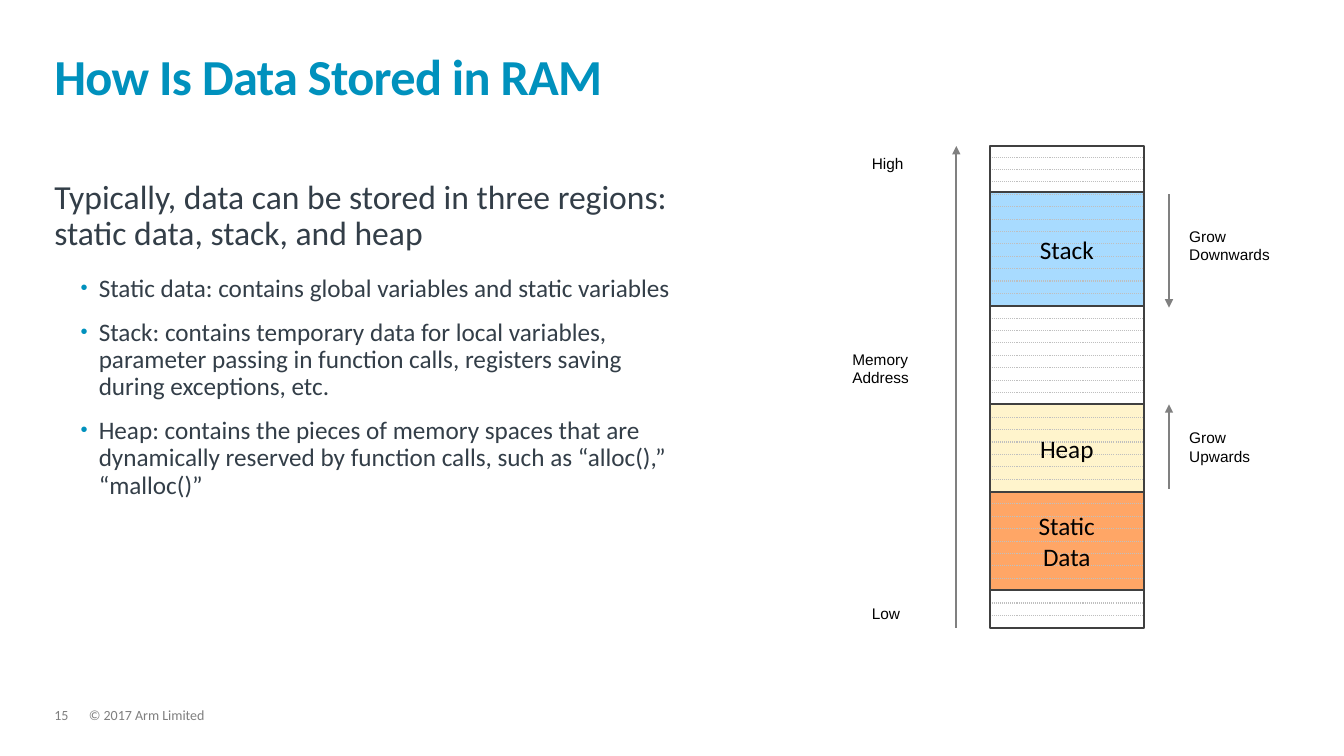
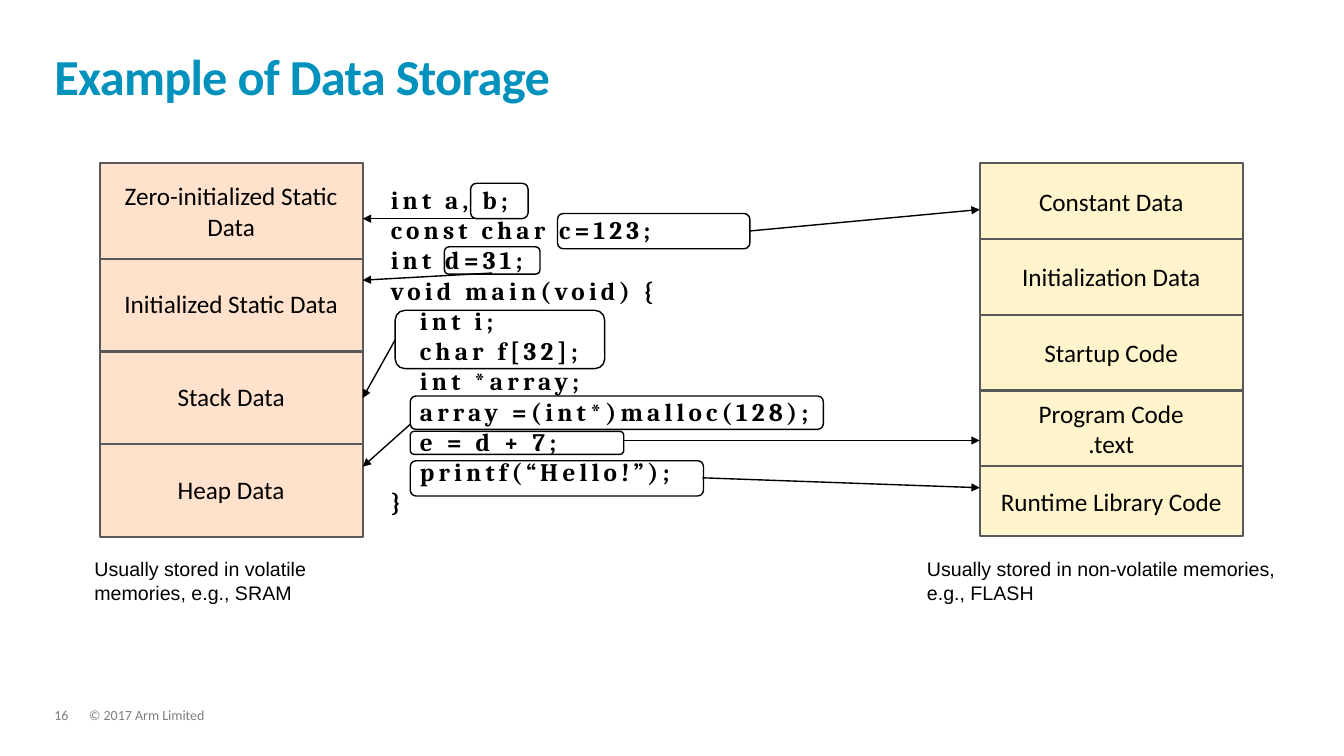
"""Build two slides on how a program's data is stored in memory."""
import dataclasses
import typing

import lxml.etree
import pptx
import pptx.dml.color
import pptx.enum.dml
import pptx.enum.shapes
import pptx.enum.text
import pptx.oxml.ns
import pptx.shapes.autoshape
import pptx.slide
import pptx.text.text
import pptx.util

Cm = pptx.util.Cm
Pt = pptx.util.Pt
Align = pptx.enum.text.PP_ALIGN
Anchor = pptx.enum.text.MSO_ANCHOR
Form = pptx.enum.shapes.MSO_SHAPE
qn = pptx.oxml.ns.qn
Slide = pptx.slide.Slide

TEAL, INK, BLACK, GREY, WHITE = "0091BD", "333E48", "000000", "7F7F7F", "FFFFFF"
PEACH, CREAM, BLUE, ORANGE = "FFE1CC", "FFF4CC", "A8DBFF", "FFA666"
DARK, EDGE, SHAFT, DOT = "404040", "595959", "808080", "BFBFBF"


class Area(typing.NamedTuple):
    x: float
    y: float
    w: float
    h: float


class Path(typing.NamedTuple):
    x1: float
    y1: float
    x2: float
    y2: float


@dataclasses.dataclass(frozen=True)
class Style:
    size: float
    font: str = "Calibri"
    color: str = BLACK
    bold: bool = False
    track: int = 0


@dataclasses.dataclass(frozen=True)
class Para:
    lead: float = 1.0
    after: float = 0
    align: Align = Align.LEFT
    dot: bool = False


@dataclasses.dataclass(frozen=True)
class Band:
    top: float
    end: float
    lines: tuple[str, ...] = ()
    fill: str | None = None


@dataclasses.dataclass(frozen=True)
class Label:
    area: Area
    lines: tuple[str, ...]


@dataclasses.dataclass(frozen=True)
class Callout:
    frame: Area
    arrow: Path | None


TITLE = Style(36, color=TEAL, bold=True, track=-50)
FOOT = Style(10, color=GREY)
LEAD = Style(24, color=INK)
POINT = Style(18, color=INK)
BLOCK = Style(18)
SMALL = Style(11, "Arial")
NOTE = Style(14, "Arial")
CODE = Style(18, "Cambria", bold=True, track=300)
PLAIN = Para()
MID = Para(align=Align.CENTER)

STACK_X, STACK_W = 24.94, 3.89
STACK_END = 15.82
BANDS = (
    Band(3.68, 4.85, fill=WHITE),
    Band(4.85, 7.72, ("Stack",), BLUE),
    Band(7.72, 10.19),
    Band(10.19, 12.4, ("Heap",), CREAM),
    Band(12.4, 14.86, ("Static", "Data"), ORANGE),
    Band(14.86, STACK_END),
)
DOT_TOP, DOT_COUNT = 3.96, 39
LABELS = (
    Label(Area(21.72, 3.76, 1.32, 0.74), ("High",)),
    Label(Area(21.23, 8.69, 1.96, 1.19), ("Memory", "Address")),
    Label(Area(21.72, 15.09, 1.24, 0.74), ("Low",)),
    Label(Area(29.72, 5.59, 2.67, 1.19), ("Grow", "Downwards")),
    Label(Area(29.72, 10.67, 2.16, 1.19), ("Grow", "Upwards")),
)
GROWTH = (
    Path(24.1, STACK_END, 24.1, 3.68),
    Path(29.46, 4.9, 29.46, 7.75),
    Path(29.46, 12.32, 29.46, 10.19),
)
POINTS = (
    "Static data: contains global variables and static variables",
    "Stack: contains temporary data for local variables, parameter passing "
    "in function calls, registers saving during exceptions, etc.",
    "Heap: contains the pieces of memory spaces that are dynamically "
    "reserved by function calls, such as “alloc(),” “malloc()”",
)

SOURCE = (
    "int a, b;",
    "const char c=123;",
    "int d=31;",
    "void main(void) {",
    "   int i;",
    "   char f[32];",
    "   int *array;",
    "   array =(int*)malloc(128);",
    "   e = d + 7;",
    "   printf(“Hello!”);",
    "}",
)
RAM = (
    ("Zero-initialized Static Data",),
    ("Initialized Static Data",),
    ("Stack Data",),
    ("Heap Data",),
)
FLASH = (
    ("Constant Data",),
    ("Initialization Data",),
    ("Startup Code",),
    ("Program Code", ".text"),
    ("Runtime Library Code",),
)
RAM_EDGE, FLASH_X = 9.14, 24.69
CALLOUTS = (
    Callout(Area(11.86, 4.62, 1.45, 0.89), Path(12.4, 5.51, RAM_EDGE, 5.51)),
    Callout(Area(14.05, 5.38, 4.85, 0.89), Path(18.9, 5.82, FLASH_X, 5.28)),
    Callout(Area(11.2, 6.22, 2.41, 0.69), Path(12.4, 6.88, RAM_EDGE, 7.06)),
    Callout(Area(9.96, 7.82, 5.28, 1.47), Path(9.96, 8.56, RAM_EDGE, 10.03)),
    Callout(Area(10.34, 9.98, 10.41, 0.84), Path(10.34, 10.69, RAM_EDGE, 11.76)),
    Callout(Area(10.34, 10.87, 5.38, 0.58), Path(15.7, 11.1, FLASH_X, 11.1)),
    Callout(Area(10.34, 11.61, 7.39, 0.89), Path(17.7, 12.04, FLASH_X, 12.29)),
)


def tint(code: str) -> pptx.dml.color.RGBColor:
    return pptx.dml.color.RGBColor.from_string(code)


def add_dot(para: pptx.text.text._Paragraph) -> None:
    para.level = 1
    props = para._p.get_or_add_pPr()
    props.set("marL", str(Cm(1.12)))
    props.set("indent", str(Cm(-0.46)))
    shade = lxml.etree.SubElement(props, qn("a:buClr"))
    lxml.etree.SubElement(shade, qn("a:srgbClr"), val=TEAL)
    lxml.etree.SubElement(props, qn("a:buSzPct"), val="80000")
    lxml.etree.SubElement(props, qn("a:buFont"), typeface="Arial")
    lxml.etree.SubElement(props, qn("a:buChar"), char="•")


def add_line(frame: pptx.text.text.TextFrame, text: str, style: Style,
             form: Para = PLAIN) -> None:
    para = frame.paragraphs[0]
    if para.runs:
        para = frame.add_paragraph()
    para.alignment = form.align
    para.line_spacing = form.lead
    para.space_after = Pt(form.after)
    if form.dot:
        add_dot(para)
    run = para.add_run()
    run.text = text
    run.font.name = style.font
    run.font.size = Pt(style.size)
    run.font.bold = style.bold
    run.font.color.rgb = tint(style.color)
    if style.track:
        run._r.get_or_add_rPr().set("spc", str(style.track))


def add_box(slide: Slide, area: Area, wrap: bool = True,
            flush: bool = False) -> pptx.text.text.TextFrame:
    frame = slide.shapes.add_textbox(*map(Cm, area)).text_frame
    frame.word_wrap = wrap
    if flush:
        frame.margin_left = frame.margin_right = 0
        frame.margin_top = frame.margin_bottom = 0
    return frame


def add_text(slide: Slide, area: Area, lines: typing.Iterable[str],
             style: Style, wrap: bool = True) -> None:
    frame = add_box(slide, area, wrap)
    for line in lines:
        add_line(frame, line, style)


def add_block(slide: Slide, area: Area, lines: typing.Iterable[str] = (),
              fill: str | None = None, edge: str | None = None,
              width: float = 1.5, form: Form = Form.RECTANGLE) -> None:
    shape = slide.shapes.add_shape(form, *map(Cm, area))
    shape.shadow.inherit = False
    if fill:
        shape.fill.solid()
        shape.fill.fore_color.rgb = tint(fill)
    else:
        shape.fill.background()
    if edge:
        shape.line.color.rgb = tint(edge)
        shape.line.width = Pt(width)
    else:
        shape.line.fill.background()
    frame = shape.text_frame
    frame.word_wrap = True
    frame.vertical_anchor = Anchor.MIDDLE
    for line in lines:
        add_line(frame, line, BLOCK, MID)


def add_rule(slide: Slide, path: Path, color: str, width: float,
             arrow: bool = True) -> None:
    kind = pptx.enum.shapes.MSO_CONNECTOR.STRAIGHT
    rule = slide.shapes.add_connector(kind, *map(Cm, path))
    rule.line.color.rgb = tint(color)
    rule.line.width = Pt(width)
    if arrow:
        stroke = rule.line._get_or_add_ln()
        lxml.etree.SubElement(stroke, qn("a:tailEnd"), type="triangle")
    else:
        rule.line.dash_style = pptx.enum.dml.MSO_LINE.ROUND_DOT
    lxml.etree.SubElement(rule._element.spPr, qn("a:effectLst"))


def add_slide(deck: typing.Any, title: str, page: int) -> Slide:
    slide = deck.slides.add_slide(deck.slide_layouts[6])
    for x, w, text in ((2.24, 23.19, "© 2017 Arm Limited"), (1.37, 0.86, str(page))):
        foot = add_box(slide, Area(x, 17.86, w, 0.38), flush=True)
        add_line(foot, text, FOOT, Para(0.9, 6))
    head = add_box(slide, Area(1.37, 0.81, 31.06, 1.85), flush=True)
    head.vertical_anchor = Anchor.BOTTOM
    add_line(head, title, TITLE, Para(0.85))
    return slide


def draw_ram(slide: Slide) -> None:
    body = add_box(slide, Area(1.37, 4.55, 15.65, 11.35), flush=True)
    add_line(body, "Typically, data can be stored in three regions: "
             "static data, stack, and heap", LEAD, Para(0.9, 16))
    for point in POINTS:
        add_line(body, point, POINT, Para(0.9, 12, dot=True))
    areas = [Area(STACK_X, band.top, STACK_W, band.end - band.top) for band in BANDS]
    for band, area in zip(BANDS, areas):
        if band.fill:
            add_block(slide, area, fill=band.fill)
    step = (STACK_END - DOT_TOP) / (DOT_COUNT - 1)
    for row in range(DOT_COUNT):
        y = DOT_TOP + row * step
        add_rule(slide, Path(STACK_X, y, STACK_X + STACK_W, y), DOT, 0.75, False)
    for band, area in zip(BANDS, areas):
        add_block(slide, area, band.lines, edge=DARK)
    for path in GROWTH:
        add_rule(slide, path, SHAFT, 1.5)
    for label in LABELS:
        add_text(slide, label.area, label.lines, SMALL, wrap=False)


def draw_store(slide: Slide) -> None:
    add_text(slide, Area(9.6, 4.52, 11.51, 8.71), SOURCE, CODE, wrap=False)
    for row, lines in reversed(tuple(enumerate(RAM))):
        add_block(slide, Area(2.51, 4.11 + row * 2.34, 6.63, 2.41), lines, PEACH, EDGE)
    for row, lines in enumerate(FLASH):
        high = 1.75 if row == len(FLASH) - 1 else 1.91
        add_block(slide, Area(FLASH_X, 4.11 + row * 1.91, 6.63, high), lines, CREAM, EDGE)
    add_text(slide, Area(2.13, 13.92, 8.2, 1.45),
             ("Usually stored in volatile memories, e.g., SRAM",), NOTE)
    add_text(slide, Area(23.11, 13.92, 9.4, 1.45),
             ("Usually stored in non-volatile memories, e.g., FLASH",), NOTE)
    for call in CALLOUTS:
        add_block(slide, call.frame, edge=BLACK, width=1, form=Form.ROUNDED_RECTANGLE)
        add_rule(slide, call.arrow, BLACK, 1)


def main() -> None:
    deck = pptx.Presentation()
    deck.slide_width, deck.slide_height = Cm(33.87), Cm(19.05)
    draw_ram(add_slide(deck, "How Is Data Stored in RAM", 15))
    draw_store(add_slide(deck, "Example of Data Storage", 16))
    deck.save("out.pptx")


if __name__ == "__main__":
    main()
